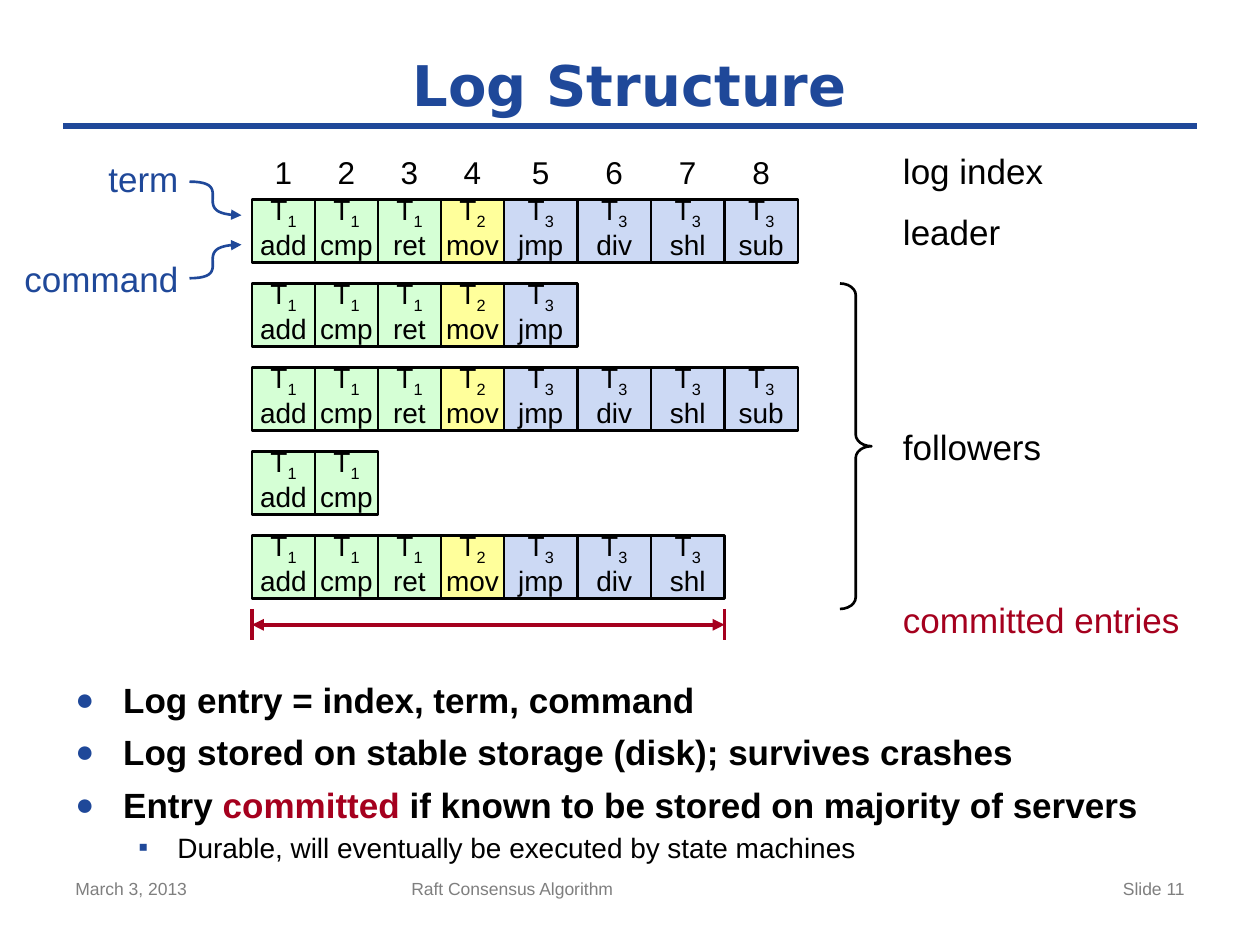
from itertools import accumulate
from lxml import etree
from pptx import Presentation, util as u
from pptx.dml.color import RGBColor
from pptx.enum import shapes, text
from pptx.oxml.ns import qn

BLUE = RGBColor(0x1F, 0x48, 0x99)
RED = RGBColor(0xA5, 0x00, 0x1E)
BLACK = RGBColor(0, 0, 0)
GRAY = RGBColor(0x7F, 0x7F, 0x7F)
TERM_FILLS = {
    1: RGBColor(0xD5, 0xFF, 0xD5),
    2: RGBColor(0xFF, 0xFF, 0x9B),
    3: RGBColor(0xCC, 0xD9, 0xF4),
}
ENTRIES = [(1, "add"), (1, "cmp"), (1, "ret"), (2, "mov"),
           (3, "jmp"), (3, "div"), (3, "shl"), (3, "sub")]
WIDTHS = [6] * 4 + [7] * 4
EDGES = [0, *accumulate(WIDTHS)]
LOG_LENGTHS = [8, 5, 8, 2, 7]
COMMITTED = 7
ROW_STEP = 8
CELL = 6
LEFT, CENTER, RIGHT = text.PP_ALIGN.LEFT, text.PP_ALIGN.CENTER, text.PP_ALIGN.RIGHT


def grid(*cells):
    return [u.Emu(round(c * u.Inches(1) / 12)) for c in cells]


def add_run(p, words, size, color=BLACK, bold=False, font="Arial"):
    r = p.add_run()
    r.text = words
    r.font.size = u.Pt(size)
    r.font.name = font
    r.font.bold = bold
    r.font.color.rgb = color
    return r


def add_text(s, box, words, size, color=BLACK, align=LEFT, inset=True, **style):
    tf = s.shapes.add_textbox(*grid(*box)).text_frame
    tf.word_wrap = inset
    if not inset:
        tf.margin_left = tf.margin_right = tf.margin_top = tf.margin_bottom = 0
    p = tf.paragraphs[0]
    p.alignment = align
    add_run(p, words, size, color, **style)
    return tf


def style_line(sp, color, width, *ends):
    sp.line.color.rgb = color
    sp.line.width = u.Pt(width)
    ln = sp.line._get_or_add_ln()
    for end in ends:
        etree.SubElement(ln, qn(f"a:{end}"), type="triangle")


def add_line(s, start, end, color, width, *ends):
    sp = s.shapes.add_connector(shapes.MSO_CONNECTOR.STRAIGHT, *grid(*start, *end))
    style_line(sp, color, width, *ends)
    etree.SubElement(sp._element.spPr, qn("a:effectLst"))


def add_curve(s, start, end, steps=24):
    (x0, y0), (x3, y3) = start, end
    x1, x2 = x0 + 4.7, x3 - 5.4
    points = []
    for i in range(steps + 1):
        t = i / steps
        a, b, c, d = (1 - t) ** 3, 3 * t * (1 - t) ** 2, 3 * t * t * (1 - t), t ** 3
        points.append(grid(a * x0 + b * x1 + c * x2 + d * x3,
                           (a + b) * y0 + (c + d) * y3))
    builder = s.shapes.build_freeform(*points[0])
    builder.add_line_segments(points[1:], close=False)
    sp = builder.convert_to_shape()
    sp.shadow.inherit = False
    sp.fill.background()
    style_line(sp, BLUE, 1.5, "tailEnd")


def add_title(s, box):
    x, y, w, h = box
    tf = add_text(s, box, "Log Structure", 32, BLUE, CENTER,
                  bold=True, font="DejaVu Sans")
    tf.vertical_anchor = text.MSO_ANCHOR.MIDDLE
    add_line(s, (x, y + h), (x + w, y + h), BLUE, 4)


def add_entry(s, box, term, command):
    sp = s.shapes.add_shape(shapes.MSO_SHAPE.RECTANGLE, *grid(*box))
    sp.shadow.inherit = False
    sp.fill.solid()
    sp.fill.fore_color.rgb = TERM_FILLS[term]
    style_line(sp, BLACK, 1.5)
    tf = sp.text_frame
    tf.margin_left = tf.margin_right = tf.margin_top = tf.margin_bottom = 0
    tf.vertical_anchor = text.MSO_ANCHOR.MIDDLE
    p = tf.paragraphs[0]
    p.alignment = CENTER
    p.line_spacing = u.Pt(17)
    add_run(p, "T", 16)
    r = add_run(p, str(term), 16)
    r.font._element.set("baseline", "-25000")
    p.add_line_break()
    add_run(p, command, 16)


def add_logs(s, box):
    x, y, w, h = box
    for i, width in enumerate(WIDTHS):
        add_text(s, (x + EDGES[i], y, width, 4.8), str(i + 1), 18, align=CENTER)
    for row, length in enumerate(LOG_LENGTHS):
        top = y + 5 + row * ROW_STEP
        for edge, width, entry in list(zip(EDGES, WIDTHS, ENTRIES))[:length]:
            add_entry(s, (x + edge, top, width, CELL), *entry)
    bottom, right = y + h, x + EDGES[COMMITTED]
    for tick in (x, right):
        add_line(s, (tick, bottom - 3), (tick, bottom), RED, 2.25)
    add_line(s, (x, bottom - 1.5), (right, bottom - 1.5), RED, 2.25,
             "headEnd", "tailEnd")


def add_callouts(s, box):
    x, y, w, h = box
    add_text(s, (x + 8, y, 6.75, 4), "term", 20, BLUE, RIGHT, inset=False)
    add_text(s, (x, y + 9.5, 14.75, 4), "command", 20, BLUE, RIGHT, inset=False)
    add_curve(s, (x + 15.8, y + 2.3), (x + w, y + 5.5))
    add_curve(s, (x + 15.8, y + 11.5), (x + w, y + 8.3))


def add_row_labels(s, box):
    x, y, w, h = box
    brace = s.shapes.add_shape(shapes.MSO_SHAPE.RIGHT_BRACE, *grid(x, y + 13, 3, 31))
    brace.shadow.inherit = False
    brace.adjustments[0] = 0.37
    brace.fill.background()
    style_line(brace, BLACK, 1.5)
    for words, top, color in (("log index", 0.25, BLACK), ("leader", 6, BLACK),
                              ("followers", 26.5, BLACK),
                              ("committed entries", 43, RED)):
        add_text(s, (x + 6, y + top, w - 6, 4), words, 20, color, inset=False)


def add_bullet(p, mark, size, level, indent, hang, space):
    p.level = level
    p.space_before = u.Pt(space)
    pPr = p._p.get_or_add_pPr()
    pPr.set("marL", str(u.Inches(indent)))
    pPr.set("indent", str(-u.Inches(hang)))
    color = etree.SubElement(pPr, qn("a:buClr"))
    etree.SubElement(color, qn("a:srgbClr"), val=str(BLUE))
    etree.SubElement(pPr, qn("a:buSzPct"), val=str(size * 1000))
    etree.SubElement(pPr, qn("a:buFont"), typeface="Arial")
    etree.SubElement(pPr, qn("a:buChar"), char=mark)


def add_points(s, box):
    tf = s.shapes.add_textbox(*grid(*box)).text_frame
    tf.word_wrap = True
    points = [
        [("Log entry = index, term, command", BLACK)],
        [("Log stored on stable storage (disk); survives crashes", BLACK)],
        [("Entry ", BLACK), ("committed", RED),
         (" if known to be stored on majority of servers", BLACK)],
    ]
    for i, runs in enumerate(points):
        p = tf.add_paragraph() if i else tf.paragraphs[0]
        add_bullet(p, "●", 90, 0, 0.38, 0.38, 6)
        for words, color in runs:
            add_run(p, words, 20, color, bold=True)
    p = tf.add_paragraph()
    add_bullet(p, "▪", 100, 1, 0.81, 0.31, 3)
    add_run(p, "Durable, will eventually be executed by state machines", 16)


def add_footer(s, box):
    x, y, w, h = box
    for words, left, width, align in (("March 3, 2013", 0, 28, LEFT),
                                      ("Raft Consensus Algorithm", 32, 45, LEFT),
                                      ("Slide 11", w - 28, 28, RIGHT)):
        add_text(s, (x + left, y, width, h), words, 10, GRAY, align)


def main():
    prs = Presentation()
    prs.slide_width, prs.slide_height = grid(120, 90)
    s = prs.slides.add_slide(prs.slide_layouts[6])
    add_title(s, (6, 4, 108, 8))
    add_points(s, (6, 64, 108, 19))
    add_footer(s, (6, 83, 108, 5.2))
    add_logs(s, (24, 14, EDGES[-1], 47))
    add_row_labels(s, (80, 14, 32.5, 47))
    add_callouts(s, (2.25, 15, 20.75, 13.5))
    prs.save("out.pptx")


if __name__ == "__main__":
    main()
